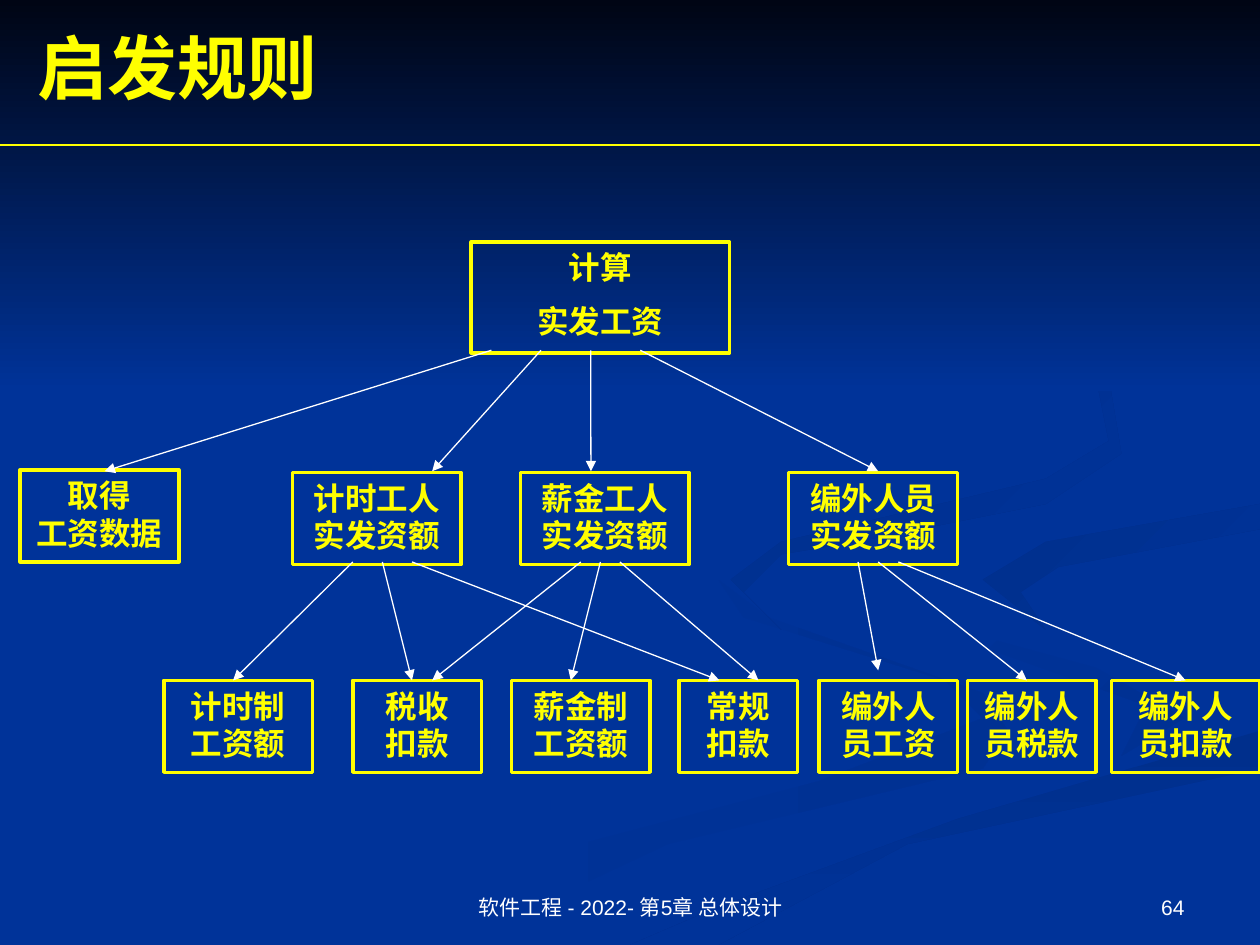
from lxml.etree import SubElement
from pptx import Presentation
from pptx.dml.color import RGBColor
from pptx.enum.shapes import MSO_CONNECTOR, MSO_SHAPE
from pptx.enum.text import MSO_ANCHOR, PP_ALIGN
from pptx.oxml.ns import qn
from pptx.util import Inches, Pt

BLUE = RGBColor(0x00, 0x33, 0x99)
NIGHT = RGBColor(0x00, 0x05, 0x14)
SHADE = RGBColor(0x00, 0x2F, 0x8C)
SOFT = RGBColor(0x00, 0x31, 0x93)
YELLOW = RGBColor(0xFF, 0xFF, 0x00)
WHITE = RGBColor(0xFF, 0xFF, 0xFF)

prs = Presentation()
prs.slide_width, prs.slide_height = Inches(10), Inches(7.5)
CELL = prs.slide_width // 100  # grid of 100 columns by 75 rows
s = prs.slides.add_slide(prs.slide_layouts[6])
s.background.fill.solid()
s.background.fill.fore_color.rgb = BLUE


def write(shape, lines, size, font, color, bold, align, anchor, gap=0):
    tf = shape.text_frame
    tf.word_wrap = True
    tf.vertical_anchor = anchor
    for i, line in enumerate(lines):
        p = tf.paragraphs[0] if i == 0 else tf.add_paragraph()
        p.alignment = align
        if i and gap:
            p.space_before = Pt(gap)
        r = p.add_run()
        r.text = line
        r.font.size, r.font.name, r.font.bold = Pt(size), font, bold
        r.font.color.rgb = color


def add_line(x1, y1, x2, y2, color, arrow=True):
    c = s.shapes.add_connector(MSO_CONNECTOR.STRAIGHT,
                               *(round(v * CELL) for v in (x1, y1, x2, y2)))
    c.line.color.rgb = color
    c.line.width = Pt(0.75)
    if arrow:
        SubElement(c.line._get_or_add_ln(), qn("a:tailEnd"), type="triangle")
    SubElement(c._element.spPr, qn("a:effectLst"))


# Background ribbons: start colour, end colour, clockwise angle, outline in cells
ribbons = [
    (BLUE, SOFT, 0, [(78, 55), (61, 49), (57, 46), (59, 49), (75, 54), (78, 57),
                     (65, 62), (46, 67), (30, 75), (36, 75), (53, 67), (78, 61),
                     (80, 58)]),
    (BLUE, SOFT, 45, [(94, 57), (87, 53), (76, 50), (72, 46), (77, 51), (91, 56),
                      (89, 60)]),
    (SHADE, BLUE, 90, [(50, 75), (57, 75), (72, 67), (100, 61), (100, 58),
                       (76, 65), (57, 72)]),
    (SHADE, BLUE, 45, [(78, 46), (83, 50), (81, 47), (84, 45), (100, 42),
                       (100, 40), (83, 43)]),
    (SHADE, BLUE, 45, [(68, 43), (83, 40), (89, 36), (88, 30), (76, 23), (87, 30),
                       (88, 35), (83, 38), (62, 43), (58, 46), (62, 50), (59, 47),
                       (62, 44)]),
    (NIGHT, BLUE, 90, [(0, 0), (0, 31), (100, 31), (100, 0)]),
]
for start, end, angle, points in ribbons:
    builder = s.shapes.build_freeform(*points[0], scale=CELL)
    builder.add_line_segments(points[1:], close=True)
    sp = builder.convert_to_shape()
    sp.shadow.inherit = False
    sp.line.fill.background()
    sp.fill.gradient()
    sp.fill.gradient_angle = (360 - angle) % 360
    for stop, color, position in zip(sp.fill.gradient_stops, (start, end), (0, 1)):
        stop.color.rgb = color
        stop.position = position

# Title, footer and page number
labels = [
    (2, 1.4, 98, 7.7, "启发规则", 40, "Times New Roman", YELLOW, True,
     PP_ALIGN.LEFT, MSO_ANCHOR.MIDDLE),
    (34.2, 68.3, 31.7, 5.2, "软件工程 - 2022- 第5章 总体设计", 12, "Arial", WHITE, False,
     PP_ALIGN.CENTER, MSO_ANCHOR.BOTTOM),
    (71.7, 68.3, 23.3, 5.2, "64", 12, "Arial", WHITE, False,
     PP_ALIGN.RIGHT, MSO_ANCHOR.BOTTOM),
]
for x, y, w, h, text, *style in labels:
    box = s.shapes.add_textbox(*(round(v * CELL) for v in (x, y, w, h)))
    write(box, [text], *style)
add_line(0, 11.5, 100, 11.5, YELLOW, arrow=False)

# Structure chart: top, height, gap between paragraphs, then (left, width, lines)
levels = [
    (19.2, 8.8, 9, [(37.4, 20.5, ["计算", "实发工资"])]),
    (37.3, 7.3, 0, [(1.6, 12.6, ["取得", "工资数据"])]),
    (37.5, 7.3, 0, [(23.2, 13.4, ["计时工人实发资额"]),
                    (41.3, 13.4, ["薪金工人实发资额"]),
                    (62.6, 13.4, ["编外人员实发资额"])]),
    (54, 7.3, 0, [(13, 11.8, ["计时制", "工资额"]),
                  (28, 10.2, ["税收", "扣款"]),
                  (40.6, 11, ["薪金制", "工资额"]),
                  (53.9, 9.4, ["常规", "扣款"]),
                  (65, 11, ["编外人", "员工资"]),
                  (76.8, 10.2, ["编外人", "员税款"]),
                  (88.2, 11.8, ["编外人", "员扣款"])]),
]
for top, height, gap, modules in levels:
    for left, width, lines in modules:
        sp = s.shapes.add_shape(MSO_SHAPE.RECTANGLE,
                                *(round(v * CELL) for v in (left, top, width, height)))
        sp.shadow.inherit = False
        sp.fill.background()
        sp.line.color.rgb = YELLOW
        sp.line.width = Pt(2)
        write(sp, lines, 18, "Times New Roman", YELLOW, True,
              PP_ALIGN.CENTER, MSO_ANCHOR.TOP, gap)

# Calls fan out from each module: first start, step, start row, end row, targets
calls = [
    (39, 3.94, 27.8, 37.4, [8.3, 34.3, 46.9, 69.7]),
    (28, 2.35, 44.6, 54, [18.5, 32.7, 57.1]),
    (46.1, 1.55, 44.6, 54, [34.3, 45.3, 60.2]),
    (68.1, 1.6, 44.6, 54, [69.7, 81.5, 94.1]),
]
for first, step, y1, y2, targets in calls:
    for i, x2 in enumerate(targets):
        # The call to 员工资 stops short of its box
        end = 53.2 if (first, i) == (68.1, 0) else y2
        add_line(first + i * step, y1, x2, end, WHITE)

prs.save("out.pptx")
